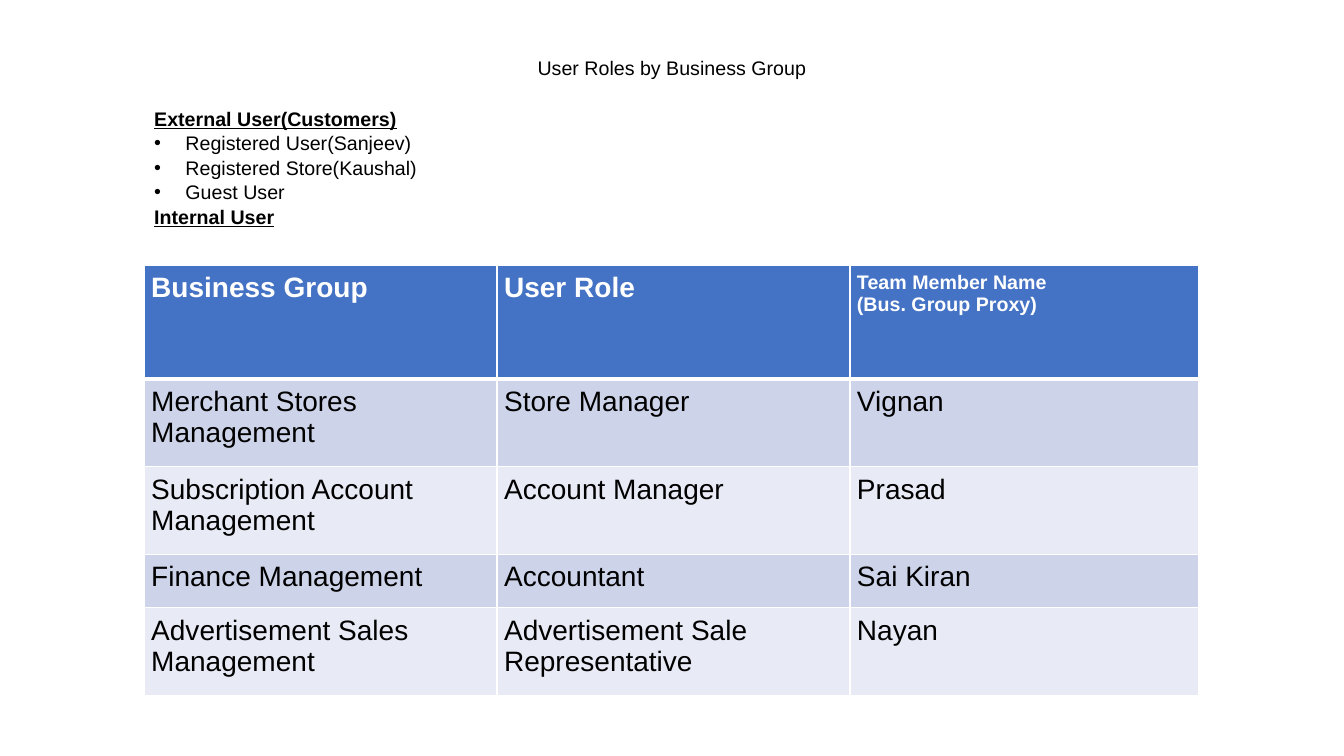
from lxml.etree import SubElement
from pptx import Presentation
from pptx.dml.color import RGBColor
from pptx.enum.text import MSO_ANCHOR, PP_ALIGN
from pptx.oxml.ns import qn
from pptx.util import Inches, Pt

TITLE = "User Roles by Business Group"
USER_LINES = [  # text, is heading
    ("External User(Customers)", True),
    ("Registered User(Sanjeev)", False),
    ("Registered Store(Kaushal)", False),
    ("Guest User", False),
    ("Internal User", True),
]
ROLES = [
    ("Business Group", "User Role", "Team Member Name\n(Bus. Group Proxy)"),
    ("Merchant Stores Management", "Store Manager", "Vignan"),
    ("Subscription Account Management", "Account Manager", "Prasad"),
    ("Finance Management", "Accountant", "Sai Kiran"),
    ("Advertisement Sales Management", "Advertisement Sale Representative", "Nayan"),
]
COLUMN_WIDTHS = [3.5, 3.5, 3.46]
ROW_HEIGHTS = [1.13, 0.87, 0.87, 0.53, 0.87]

FONT = "Arial"
BLACK = RGBColor(0x00, 0x00, 0x00)
WHITE = RGBColor(0xFF, 0xFF, 0xFF)
HEADER_BLUE = RGBColor(0x44, 0x72, 0xC4)
BAND_COLORS = [RGBColor(0xE8, 0xEB, 0xF5), RGBColor(0xCD, 0xD4, 0xEA)]


def style(para, size, color=BLACK, bold=False):
    font = para.font
    font.name, font.size, font.bold = FONT, Pt(size), bold
    font.color.rgb = color


def add_text_frame(page, left, top, width, height):
    box = page.shapes.add_textbox(*map(Inches, (left, top, width, height)))
    frame = box.text_frame
    frame.word_wrap = True
    frame.margin_left = frame.margin_right = Inches(0.05)
    frame.margin_top = frame.margin_bottom = Inches(0.05)
    return frame


def add_bullet(para):
    props = para._p.get_or_add_pPr()
    props.set("marL", str(Inches(0.31)))
    props.set("indent", str(-Inches(0.31)))
    SubElement(props, qn("a:buFont"), typeface=FONT)
    SubElement(props, qn("a:buChar"), char="•")


def add_borders(cell, top, bottom):
    props = cell._tc.get_or_add_tcPr()
    for side, width in (("L", 1), ("R", 1), ("T", top), ("B", bottom)):
        line = SubElement(props, qn(f"a:ln{side}"), w=str(Pt(width)))
        fill = SubElement(line, qn("a:solidFill"))
        SubElement(fill, qn("a:srgbClr"), val=str(WHITE))


def add_title(page):
    frame = add_text_frame(page, 1.15, 0.19, 11.03, 1.22)
    frame.vertical_anchor = MSO_ANCHOR.MIDDLE
    frame.margin_bottom = Inches(0.28)
    para = frame.paragraphs[0]
    para.text = TITLE
    para.alignment = PP_ALIGN.CENTER
    para.line_spacing = 0.9
    style(para, 14)


def add_user_list(page):
    frame = add_text_frame(page, 1.48, 1, 3.76, 1.64)
    frame.text = "\n".join(text for text, _ in USER_LINES)
    for para, (_, is_heading) in zip(frame.paragraphs, USER_LINES):
        para.line_spacing = 1.04
        style(para, 14, bold=is_heading)
        if is_heading:
            para.font.underline = True
        else:
            add_bullet(para)


def add_role_table(page):
    table = page.shapes.add_table(
        len(ROLES), len(COLUMN_WIDTHS), Inches(1.43), Inches(2.63),
        Inches(sum(COLUMN_WIDTHS)), Inches(sum(ROW_HEIGHTS))).table
    for column, width in zip(table.columns, COLUMN_WIDTHS):
        column.width = Inches(width)
    for row, height in zip(table.rows, ROW_HEIGHTS):
        row.height = Inches(height)

    for r, texts in enumerate(ROLES):
        is_header = r == 0
        for c, text in enumerate(texts):
            cell = table.cell(r, c)
            cell.text = text
            cell.margin_left = cell.margin_right = Inches(0.07)
            cell.margin_top = cell.margin_bottom = Inches(0.07)
            add_borders(cell, top=3 if r == 1 else 1, bottom=3 if is_header else 1)
            cell.fill.solid()
            cell.fill.fore_color.rgb = HEADER_BLUE if is_header else BAND_COLORS[r % 2]
            for para in cell.text_frame.paragraphs:
                style(para, 14 if "\n" in text else 20,
                      WHITE if is_header else BLACK, is_header)


def main():
    deck = Presentation()
    deck.slide_width, deck.slide_height = Inches(13.33), Inches(7.5)
    page = deck.slides.add_slide(deck.slide_layouts[6])
    add_title(page)
    add_role_table(page)
    add_user_list(page)
    deck.save("out.pptx")


if __name__ == "__main__":
    main()
